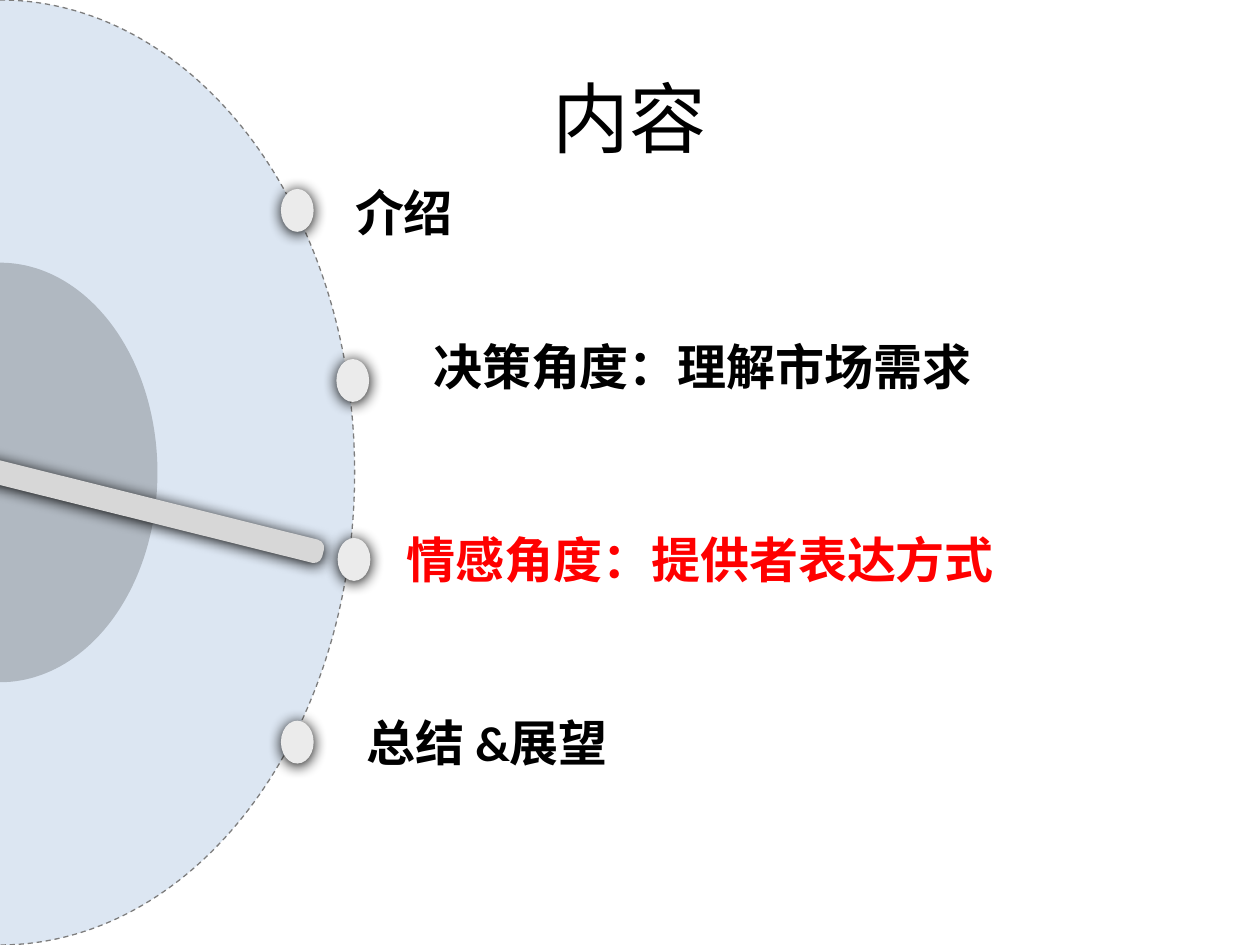
from lxml import etree
from pptx import Presentation
from pptx.dml.color import RGBColor
from pptx.enum.dml import MSO_LINE
from pptx.enum.shapes import MSO_SHAPE
from pptx.enum.text import MSO_ANCHOR, MSO_AUTO_SIZE, PP_ALIGN
from pptx.oxml.ns import qn
from pptx.util import Inches, Pt

ARC, OVAL, BAR = MSO_SHAPE.ARC, MSO_SHAPE.OVAL, MSO_SHAPE.ROUNDED_RECTANGLE
DASH = MSO_LINE.DASH
MIDDLE, CENTER = MSO_ANCHOR.MIDDLE, PP_ALIGN.CENTER
GROW = MSO_AUTO_SIZE.SHAPE_TO_FIT_TEXT

# Content: text, text left, top and width, dot left and top, colour
TITLE = "内容"
AGENDA = [
    ("介绍", (2.72, 1.40, 6), (2.23, 1.50), "text"),
    ("决策角度：理解市场需求", (3.34, 2.62, 6), (2.67, 2.85), "text"),
    ("情感角度：提供者表达方式", (3.13, 4.15, 6), (2.68, 4.27), "current"),
    ("总结 &展望", (2.81, 5.60, 2.2), (2.23, 5.72), "text"),
]
ITEM_HEIGHT = 0.57
DOT_SIZE = (0.26, 0.34)
DIAL_CENTER_Y = 3.75

THEME = {
    "font": "Calibri", "title_size": 44, "item_size": 28,
    "text": "000000", "current": "FF0000",
    "dial": "DCE6F2", "dial_line": "7D7D7D", "hub": "000000",
    "needle": "D7D7D7", "dot": "EBEBEB", "shadow": "000000",
}


def color(name):
    return RGBColor.from_string(THEME[name])


def add_filled(slide, kind, left, top, width, height, fill):
    shape = slide.shapes.add_shape(
        kind, Inches(left), Inches(top), Inches(width), Inches(height))
    shape.shadow.inherit = False
    shape.fill.solid()
    shape.fill.fore_color.rgb = color(fill)
    shape.line.fill.background()
    return shape


def add_half_disc(slide, width, height, fill):
    """Right half of an ellipse centred on the slide's left edge."""
    disc = add_filled(slide, ARC, -width / 2, DIAL_CENTER_Y - height / 2,
                      width, height, fill)
    disc.adjustments[0] = 162  # 270 degrees
    disc.adjustments[1] = 54   # 90 degrees
    return disc


def add_glow(shape):
    effects = shape.element.spPr.find(qn("a:effectLst"))
    outer = etree.SubElement(
        effects, qn("a:outerShdw"), blurRad=str(Pt(8.5)), dist=str(Pt(1)),
        dir="5400000", algn="ctr", rotWithShape="0")
    etree.SubElement(outer, qn("a:srgbClr"), val=THEME["shadow"])


def write(frame, text, size, ink, bold=False):
    frame.word_wrap = True
    frame.vertical_anchor = MIDDLE
    run = frame.paragraphs[0].add_run()
    run.text = text
    run.font.name = THEME["font"]
    run.font.size = Pt(THEME[size])
    run.font.bold = bold
    run.font.color.rgb = color(ink)


def main():
    deck = Presentation()
    deck.slide_width, deck.slide_height = Inches(10), Inches(7.5)
    slide = deck.slides.add_slide(deck.slide_layouts[5])

    # Title
    title = slide.shapes.title
    title.left, title.top = Inches(0.5), Inches(0.3)
    title.width, title.height = Inches(9), Inches(1.25)
    write(title.text_frame, TITLE, "title_size", "text")
    title.text_frame.paragraphs[0].alignment = CENTER

    # Dial with its translucent hub
    dial = add_half_disc(slide, 5.63, 7.5, "dial")
    dial.line.color.rgb = color("dial_line")
    dial.line.width = Pt(0.75)
    dial.line.dash_style = DASH
    hub = add_half_disc(slide, 2.5, 3.33, "hub")
    hub_color = hub.element.spPr.find(qn("a:solidFill"))[0]
    etree.SubElement(hub_color, qn("a:alpha"), val="20000")

    # Needle pointing at the current item
    needle = add_filled(slide, BAR, 0.96, 2.46, 0.19, 3.11, "needle")
    needle.adjustments[0] = 0.35
    needle.rotation = 104
    add_glow(needle)

    # Agenda items and their dots
    for text, (left, top, width), dot_at, ink in AGENDA:
        item = slide.shapes.add_textbox(
            Inches(left), Inches(top), Inches(width), Inches(ITEM_HEIGHT))
        write(item.text_frame, text, "item_size", ink, bold=True)
        item.text_frame.auto_size = GROW
        add_glow(add_filled(slide, OVAL, *dot_at, *DOT_SIZE, "dot"))

    deck.save("out.pptx")


if __name__ == "__main__":
    main()
